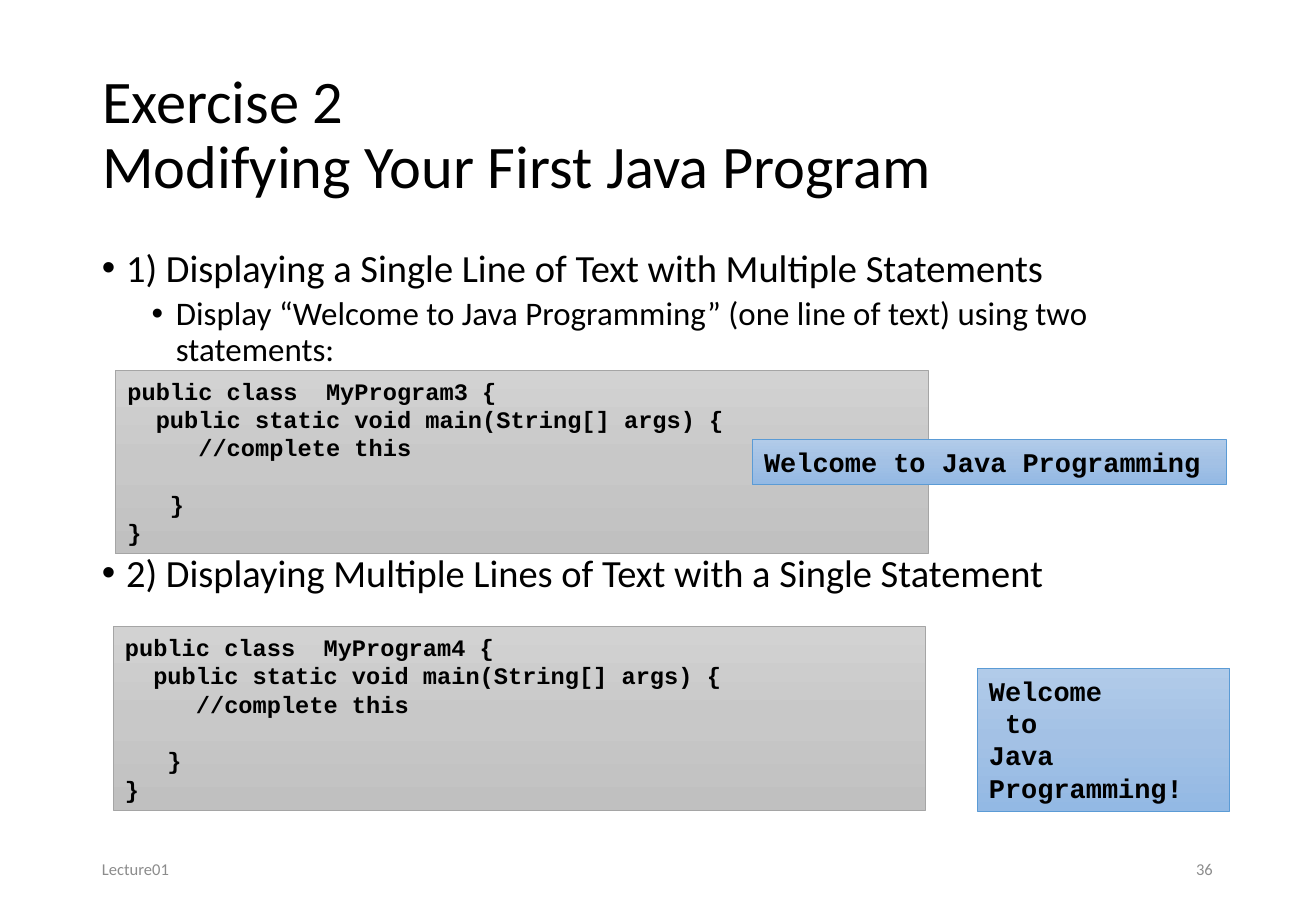
from copy import deepcopy
from pptx import Presentation
from pptx import util as u
from pptx.dml.color import RGBColor
from pptx.enum import shapes, text
from pptx.oxml import parse_xml
from pptx.oxml.ns import nsdecls, qn

WIDE, HIGH = 10.83, 7.5
LEFT, SPAN = 0.74, 9.34
GREY = ("D2D2D2", "C8C8C8", "C0C0C0"), "A5A5A5"
BLUE = ("B1CBE9", "A3C1E5", "93B9E4"), "5B9BD5"
ITEMS = [
    (0, 8.1, "1) Displaying a Single Line of Text with Multiple Statements"),
    (1, 4.1, "Display “Welcome to Java Programming” (one line of text) using two statements:"),
    (0, 110, "2) Displaying Multiple Lines of Text with a Single Statement"),
]
TASKS = [
    ("MyProgram3", (0.95, 3.05, 6.69, 1.51),
     ["Welcome to Java Programming"], (6.19, 3.62, 3.9, 0.37)),
    ("MyProgram4", (0.93, 5.16, 6.69, 1.51),
     ["Welcome", " to", "Java", "Programming!"], (8.04, 5.5, 2.08, 1.18)),
]


def tint(code):
    """Turn a hex string into a colour."""
    return RGBColor.from_string(code)


def style(para, size, name="Calibri", code="000000", bold=False):
    """Set the font of a paragraph."""
    font = para.font
    font.size, font.name, font.bold = u.Pt(size), name, bold
    font.color.rgb = tint(code)


def head(slide, box):
    """Place the title."""
    title = slide.shapes.title
    title.left, title.top, title.width, title.height = map(u.Inches, box)
    frame = title.text_frame
    frame.text = "Exercise 2\vModifying Your First Java Program"
    frame.auto_size = text.MSO_AUTO_SIZE.NONE
    frame.vertical_anchor = text.MSO_ANCHOR.MIDDLE
    para = frame.paragraphs[0]
    para.alignment = text.PP_ALIGN.LEFT
    para.line_spacing = 0.9
    style(para, 35.8)


def label(slide, box, words, align):
    """Place one footer text."""
    frame = slide.shapes.add_textbox(*map(u.Inches, box)).text_frame
    frame.word_wrap = True
    frame.vertical_anchor = text.MSO_ANCHOR.MIDDLE
    para = frame.paragraphs[0]
    para.text, para.alignment = words, align
    style(para, 9.8, code="8C8C8C")


def body(slide, box):
    """Place the bulleted exercise list."""
    frame = slide.shapes.add_textbox(*map(u.Inches, box)).text_frame
    frame.word_wrap = True
    for i, (level, gap, words) in enumerate(ITEMS):
        para = frame.add_paragraph() if i else frame.paragraphs[0]
        para.text, para.level = words, level
        para.line_spacing, para.space_before = 0.9, u.Pt(gap)
        style(para, 19.5 if level else 22.8)
        props = para._p.get_or_add_pPr()
        props.set("marL", str(u.Inches(0.61 if level else 0.2)))
        props.set("indent", str(u.Inches(-0.2)))
        for tag in ('buFont {} typeface="Arial"', 'buChar {} char="•"'):
            props.append(parse_xml(f"<a:{tag.format(nsdecls('a'))}/>"))


def panel(slide, box, lines, size, look):
    """Place a shaded box of monospaced lines and return its paragraphs."""
    shades, edge = look
    rect = slide.shapes.add_shape(shapes.MSO_SHAPE.RECTANGLE, *map(u.Inches, box))
    rect.shadow.inherit = False
    rect.fill.gradient()
    rect.fill.gradient_angle = 270
    stops = rect._element.spPr.find(".//" + qn("a:gsLst"))
    stops.insert(1, deepcopy(stops[0]))
    for i, (stop, code) in enumerate(zip(rect.fill.gradient_stops, shades)):
        stop.position, stop.color.rgb = i / 2, tint(code)
    rect.line.color.rgb, rect.line.width = tint(edge), u.Pt(0.5)
    frame = rect.text_frame
    frame.word_wrap = True
    frame.vertical_anchor = text.MSO_ANCHOR.TOP
    frame.text = "\n".join(lines)
    for para in frame.paragraphs:
        para.alignment = text.PP_ALIGN.LEFT
        style(para, size, "Courier New", bold=True)
    return frame.paragraphs


def task(slide, name, code, lines, shown):
    """Place a code listing and its expected output."""
    paras = panel(slide, code, [
        f"public class  {name} {{",
        "  public static void main(String[] args) {",
        "     //complete this",
        "   }",
        "}",
    ], 14, GREY)
    paras[3].space_before = u.Pt(16.8)
    panel(slide, shown, lines, 16, BLUE)


def main():
    """Build and save the slide."""
    deck = Presentation()
    deck.slide_width, deck.slide_height = u.Inches(WIDE), u.Inches(HIGH)
    slide = deck.slides.add_slide(deck.slide_layouts[5])
    head(slide, (LEFT, 0.4, SPAN, 1.45))
    body(slide, (LEFT, 2, SPAN, 4.76))
    foot = 2.44
    label(slide, (LEFT, 6.95, foot, 0.4), "Lecture01", text.PP_ALIGN.LEFT)
    label(slide, (LEFT + SPAN - foot, 6.95, foot, 0.4), "36", text.PP_ALIGN.RIGHT)
    for item in TASKS:
        task(slide, *item)
    deck.save("out.pptx")


if __name__ == "__main__":
    main()
